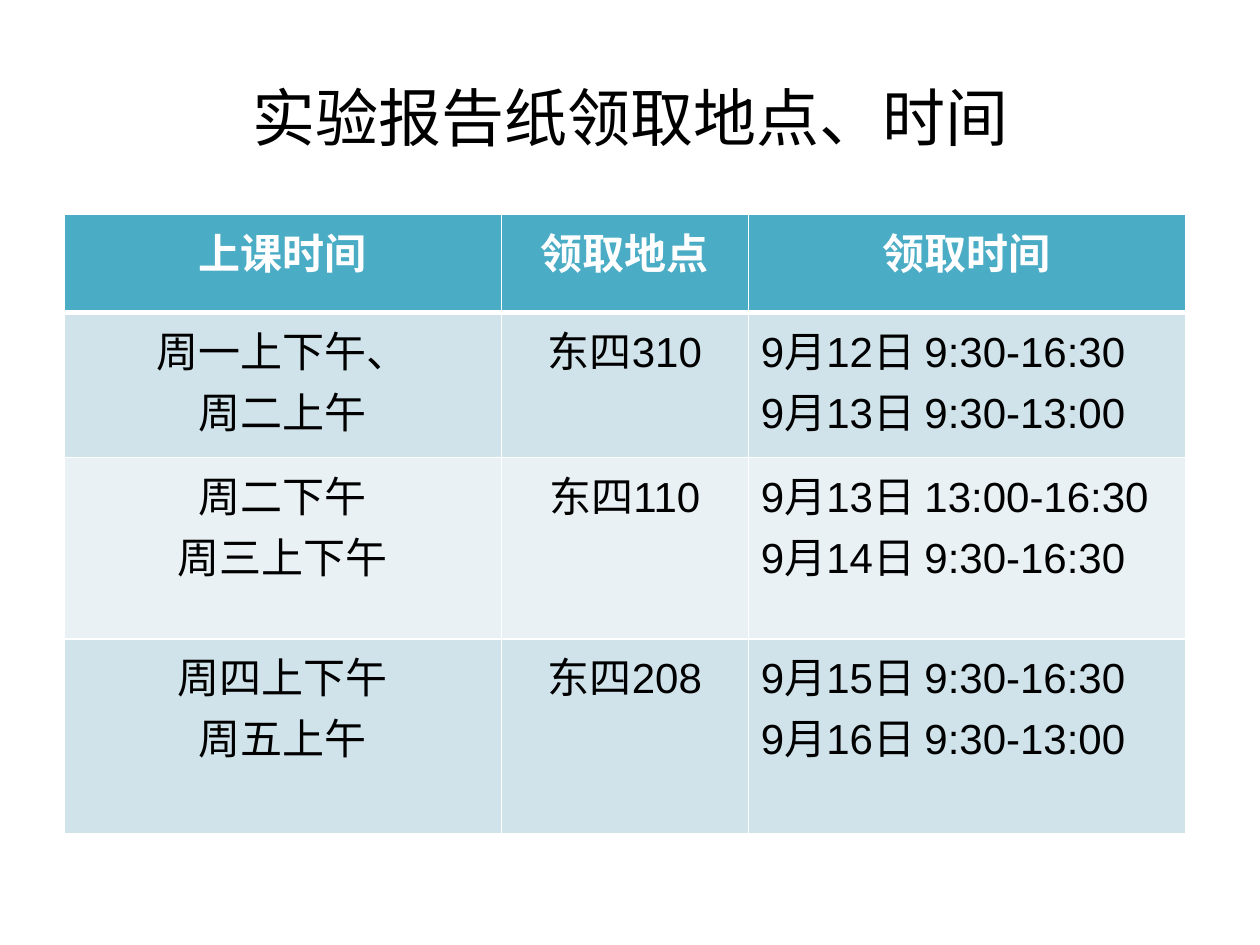
from dataclasses import dataclass

from lxml.etree import SubElement
from pptx import Presentation
from pptx.dml.color import RGBColor
from pptx.enum.text import MSO_ANCHOR, PP_ALIGN as Align
from pptx.oxml.ns import qn
from pptx.util import Inches, Pt


@dataclass(frozen=True)
class Theme:
    title_font: str = "Calibri"
    body_font: str = "Arial"
    title_size: int = 36
    body_size: int = 24
    ink: str = "000000"
    white: str = "FFFFFF"
    header_fill: str = "4BACC6"
    odd_fill: str = "D0E3EA"
    even_fill: str = "E9F1F5"
    rule: float = 1
    header_rule: float = 3


@dataclass(frozen=True)
class ScheduleRow:
    class_times: str
    place: str
    pickup_times: str
    height: float


THEME = Theme()
COLUMN_WIDTHS = (3.47, 1.96, 3.47)
SCHEDULE = (
    ScheduleRow("上课时间", "领取地点", "领取时间", 0.78),
    ScheduleRow("周一上下午、\n周二上午", "东四310",
                "9月12日 9:30-16:30\n9月13日 9:30-13:00", 1.15),
    ScheduleRow("周二下午\n周三上下午", "东四110",
                "9月13日 13:00-16:30\n9月14日 9:30-16:30", 1.44),
    ScheduleRow("周四上下午\n周五上午", "东四208",
                "9月15日 9:30-16:30\n9月16日 9:30-13:00", 1.55),
)


def format_paragraph(paragraph, align, font_name: str, size: int, color: str, bold: bool) -> None:
    paragraph.alignment = align
    for key, value in {"name": font_name, "size": Pt(size), "bold": bold}.items():
        setattr(paragraph.font, key, value)
    paragraph.font.color.rgb = RGBColor.from_string(color)


def draw_borders(cell, top: float, bottom: float) -> None:
    properties = cell._tc.get_or_add_tcPr()
    widths = {"lnL": THEME.rule, "lnR": THEME.rule, "lnT": top, "lnB": bottom}
    for side, width in widths.items():
        line = SubElement(properties, qn(f"a:{side}"), w=str(Pt(width)))
        fill = SubElement(line, qn("a:solidFill"))
        SubElement(fill, qn("a:srgbClr"), val=THEME.white)


def fill_cell(cell, text: str, row: int, centered: bool) -> None:
    header = row == 0
    draw_borders(cell,
                 top=THEME.header_rule if row == 1 else THEME.rule,
                 bottom=THEME.header_rule if header else THEME.rule)
    band = THEME.odd_fill if row % 2 else THEME.even_fill
    cell.fill.solid()
    cell.fill.fore_color.rgb = RGBColor.from_string(THEME.header_fill if header else band)
    cell.text = text
    for paragraph in cell.text_frame.paragraphs:
        format_paragraph(paragraph, Align.CENTER if centered else Align.LEFT,
                         THEME.body_font, THEME.body_size,
                         THEME.white if header else THEME.ink, header)


def add_title(slide, text: str) -> None:
    title = slide.shapes.title
    bounds = {"left": 0.5, "top": 0.3, "width": 9, "height": 1.25}
    for key, value in bounds.items():
        setattr(title, key, Inches(value))
    title.text_frame.text = text
    title.text_frame.vertical_anchor = MSO_ANCHOR.MIDDLE
    format_paragraph(title.text_frame.paragraphs[0], Align.CENTER,
                     THEME.title_font, THEME.title_size, THEME.ink, False)


def add_schedule(slide, schedule: tuple[ScheduleRow, ...]) -> None:
    table = slide.shapes.add_table(
        len(schedule), len(COLUMN_WIDTHS), Inches(0.51), Inches(1.7),
        Inches(sum(COLUMN_WIDTHS)), Inches(sum(entry.height for entry in schedule))).table
    for column, width in zip(table.columns, COLUMN_WIDTHS):
        column.width = Inches(width)
    for row, entry in enumerate(schedule):
        table.rows[row].height = Inches(entry.height)
        for column, text in enumerate((entry.class_times, entry.place, entry.pickup_times)):
            fill_cell(table.cell(row, column), text, row, centered=row == 0 or column < 2)


def main() -> None:
    deck = Presentation()
    deck.slide_width, deck.slide_height = Inches(10), Inches(7.5)
    slide = deck.slides.add_slide(deck.slide_layouts[5])
    add_title(slide, "实验报告纸领取地点、时间")
    add_schedule(slide, SCHEDULE)
    deck.save("out.pptx")


if __name__ == "__main__":
    main()
